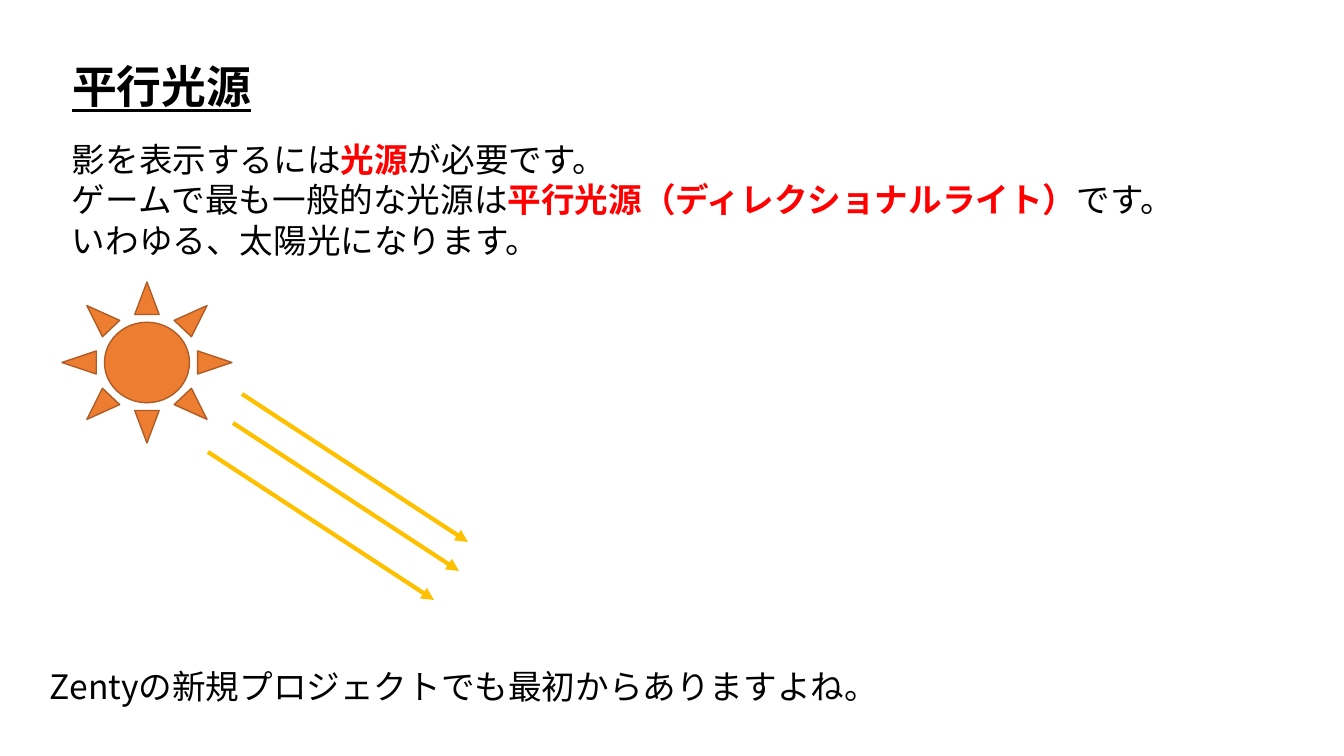
from dataclasses import dataclass

from lxml.etree import SubElement
from pptx import Presentation
from pptx.dml.color import RGBColor
from pptx.enum.shapes import MSO_CONNECTOR, MSO_SHAPE
from pptx.enum.text import MSO_ANCHOR, MSO_AUTO_SIZE, PP_ALIGN
from pptx.oxml.ns import qn
from pptx.util import Pt

PX = 914400 / 100.8


@dataclass(frozen=True)
class Theme:
    font: str = "Noto Sans CJK JP"
    title_size: int = 32
    body_size: int = 24
    ink: str = "000000"
    accent: str = "FF0000"
    sun: str = "ED7D31"
    sun_edge: str = "AF5C24"
    ray: str = "FFC000"


THEME = Theme()
EXPLANATION = [
    [("影を表示するには", False), ("光源", True), ("が必要です。", False)],
    [
        ("ゲームで最も一般的な光源は", False),
        ("平行光源（ディレクショナルライト）", True),
        ("です。", False),
    ],
    [("いわゆる、太陽光になります。", False)],
]
CLOSING = [[("Zentyの新規プロジェクトでも最初からありますよね。", False)]]
RAY_STARTS = [(180, 112), (171, 141), (146, 170)]
RAY_RUN, RAY_DROP = 226, 148


def px(*lengths):
    return [round(length * PX) for length in lengths]


def rgb(color):
    return RGBColor.from_string(color)


def apply(target, values):
    for name, value in values.items():
        setattr(target, name, value)


def add_span(para, text, size, color, **format_values):
    span = para.add_run()
    span.text = text
    apply(span.font, {"name": THEME.font, "size": Pt(size), **format_values})
    span.font.color.rgb = rgb(color)
    SubElement(span.font._element, qn("a:ea"), typeface=THEME.font)


def prepare_frame(frame):
    apply(frame, {
        "word_wrap": False,
        "auto_size": MSO_AUTO_SIZE.NONE,
        "vertical_anchor": MSO_ANCHOR.TOP,
    })


def add_heading(page, box, text):
    title = page.shapes.title
    apply(title, dict(zip(("left", "top", "width", "height"), px(*box))))
    prepare_frame(title.text_frame)
    para = title.text_frame.paragraphs[0]
    para.alignment = PP_ALIGN.LEFT
    add_span(para, text, THEME.title_size, THEME.ink, bold=True, underline=True)


def add_text(page, box, lines):
    frame = page.shapes.add_textbox(*px(*box)).text_frame
    prepare_frame(frame)
    for index, line in enumerate(lines):
        para = frame.add_paragraph() if index else frame.paragraphs[0]
        for text, strong in line:
            color = THEME.accent if strong else THEME.ink
            add_span(para, text, THEME.body_size, color, bold=strong)


def add_ray(page, start_x, start_y):
    ray = page.shapes.add_connector(
        MSO_CONNECTOR.STRAIGHT,
        *px(start_x, start_y, start_x + RAY_RUN, start_y + RAY_DROP),
    )
    ray.line.width = Pt(3)
    ray.line.color.rgb = rgb(THEME.ray)
    SubElement(ray.line._get_or_add_ln(), qn("a:tailEnd"), type="triangle")
    SubElement(ray._element.spPr, qn("a:effectLst"))


def add_sunlight(page, box):
    left, top, width, height = box
    sun = page.shapes.add_shape(MSO_SHAPE.SUN, *px(left, top, width, height))
    sun.shadow.inherit = False
    sun.fill.solid()
    sun.fill.fore_color.rgb = rgb(THEME.sun)
    sun.line.color.rgb = rgb(THEME.sun_edge)
    sun.line.width = Pt(1)
    for offset_x, offset_y in RAY_STARTS:
        add_ray(page, left + offset_x, top + offset_y)


def build_light_slide(deck):
    page = deck.slides.add_slide(deck.slide_layouts[5])
    add_heading(page, (62, 54, 202, 65), "平行光源")
    add_text(page, (62, 134, 1140, 132), EXPLANATION)
    add_sunlight(page, (62, 282, 170, 161))
    add_text(page, (40, 661, 849, 50), CLOSING)


def main():
    deck = Presentation()
    deck.slide_width, deck.slide_height = px(1344, 756)
    build_light_slide(deck)
    deck.save("out.pptx")


if __name__ == "__main__":
    main()
